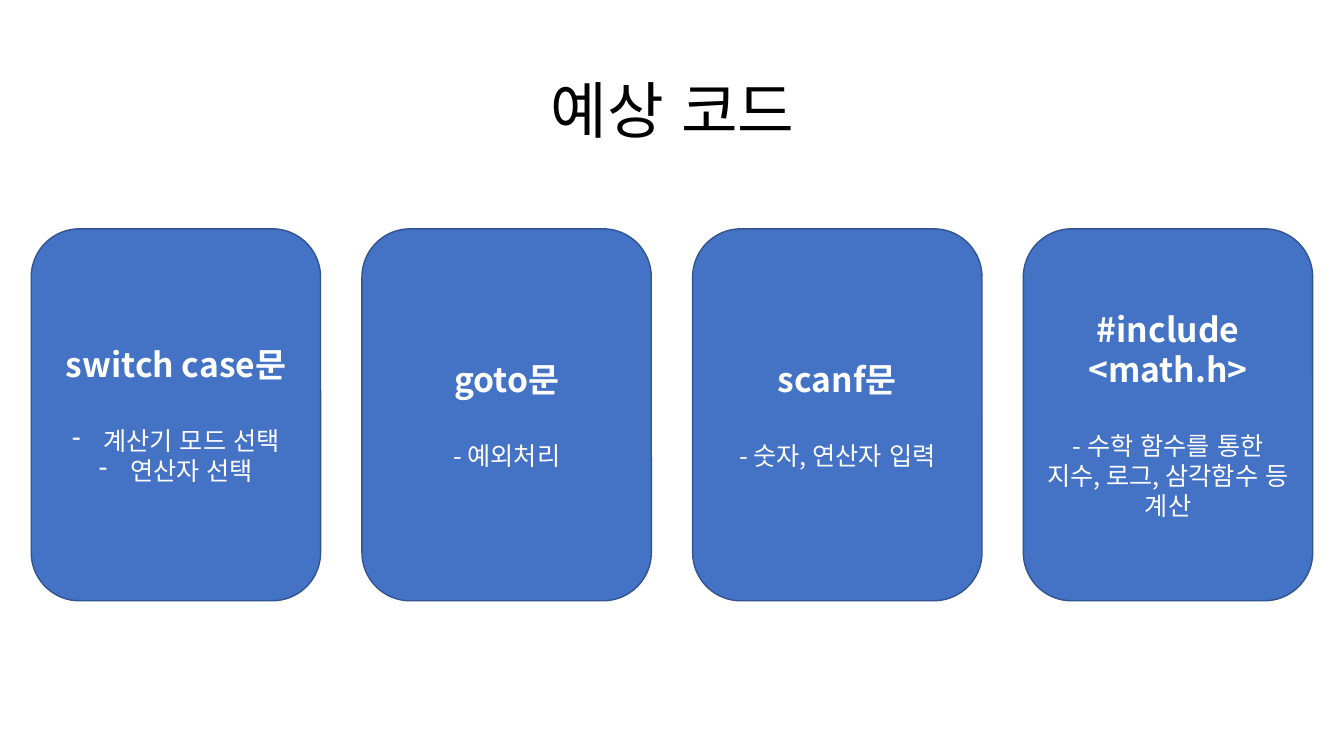
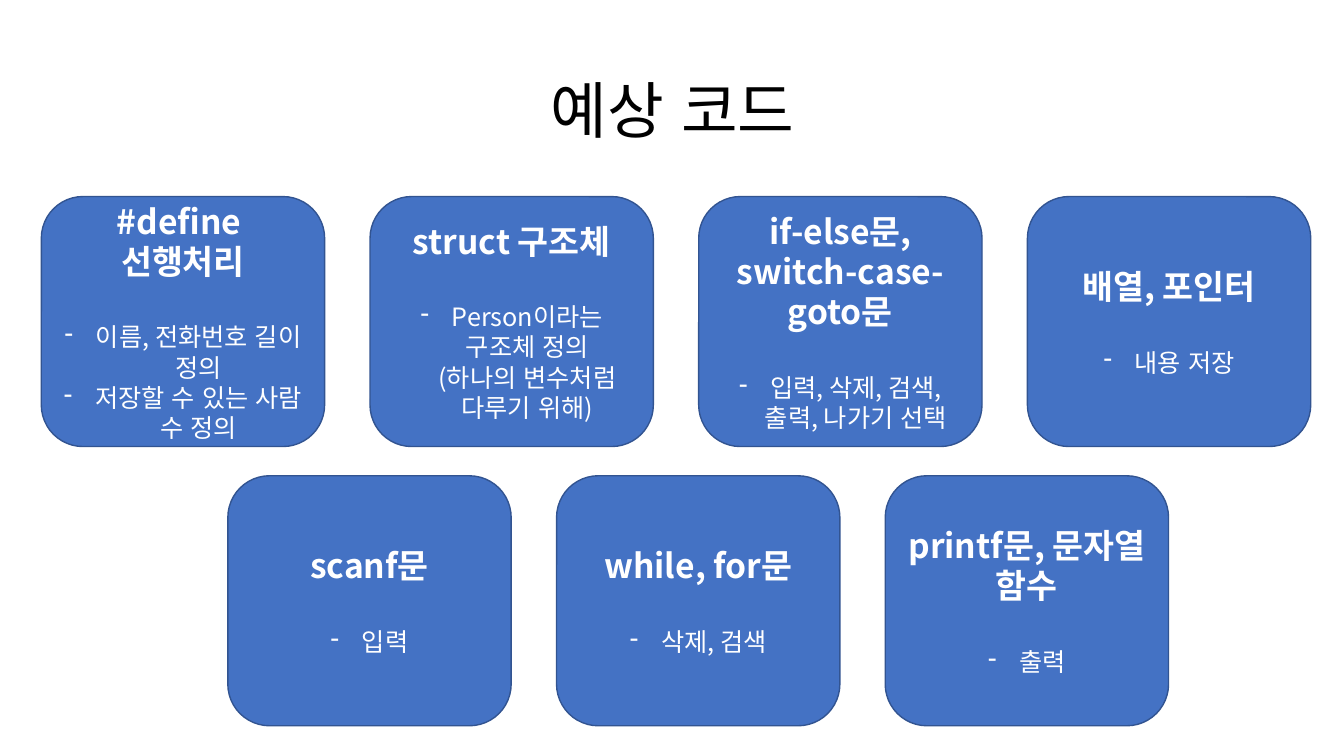
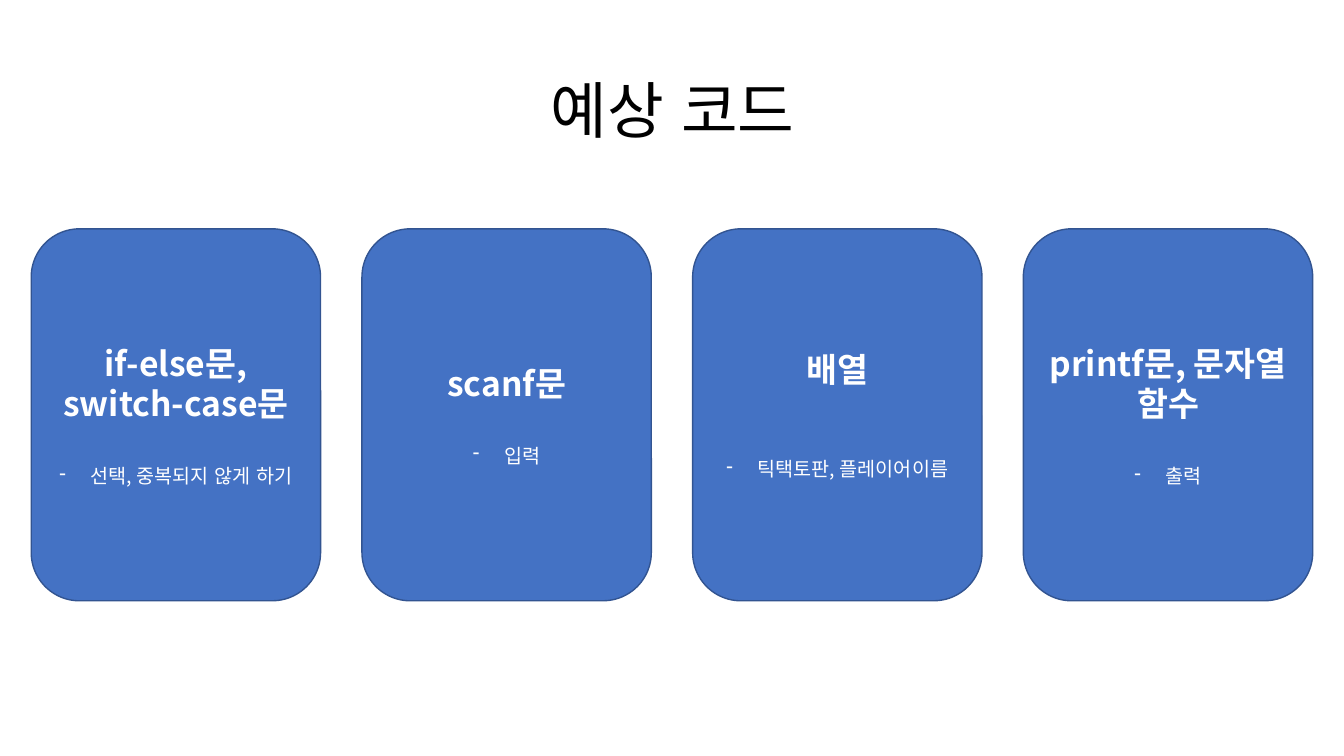
"""Builds three slides of rounded cards listing the expected code of each program."""
from dataclasses import dataclass

from lxml import etree
from pptx import Presentation
from pptx.dml.color import RGBColor
from pptx.enum.lang import MSO_LANGUAGE_ID
from pptx.enum.shapes import MSO_SHAPE
from pptx.enum.text import MSO_ANCHOR, MSO_AUTO_SIZE, PP_ALIGN
from pptx.oxml.ns import qn
from pptx.util import Inches, Pt

ROUNDED = MSO_SHAPE.ROUNDED_RECTANGLE
MIDDLE = MSO_ANCHOR.MIDDLE
NO_AUTOFIT = MSO_AUTO_SIZE.NONE
CENTER = PP_ALIGN.CENTER
KOREAN = MSO_LANGUAGE_ID.KOREAN

FONT = "Noto Sans CJK KR"
BLACK = "000000"
WHITE = "FFFFFF"
CARD_FILL = "4472C4"
CARD_LINE = "325491"
TITLE = "예상 코드"
TITLE_ONLY = 5
HEADING_SIZE = 24
HANGING = Inches(0.31)


@dataclass(frozen=True)
class Card:
    """Heading lines, notes below them, and how the notes are set."""
    headings: list[str]
    notes: list[str]
    bulleted: bool = True
    gap: float = 29


@dataclass(frozen=True)
class Row:
    """Cards of equal size, placed at an equal pitch in inches."""
    left: float
    top: float
    width: float
    height: float
    pitch: float
    cards: list[Card]


@dataclass(frozen=True)
class Page:
    """One slide: the size of its notes and its rows of cards."""
    note_size: float
    rows: list[Row]


def large_row(cards: list[Card]) -> Row:
    """Return a single row of tall cards."""
    return Row(0.31, 2.27, 2.87, 3.69, 3.28, cards)


def small_row(left: float, top: float, cards: list[Card]) -> Row:
    """Return one of several rows of short cards."""
    return Row(left, top, 2.81, 2.48, 3.26, cards)


PAGES = [
    Page(18, [large_row([
        Card(["switch case문"], ["계산기 모드 선택", "연산자 선택"]),
        Card(["goto문"], ["- 예외처리"], bulleted=False),
        Card(["scanf문"], ["- 숫자, 연산자 입력"], bulleted=False),
        Card(["#include <math.h>"], ["- 수학 함수를 통한 지수, 로그, 삼각함수 등 계산"], bulleted=False),
    ])]),
    Page(18, [
        small_row(0.41, 1.95, [
            Card(["#define ", "선행처리"], ["이름, 전화번호 길이 정의", "저장할 수 있는 사람 수 정의"]),
            Card(["struct 구조체"], ["Person이라는 구조체 정의 (하나의 변수처럼 다루기 위해)"]),
            Card(["if-else문, switch-case-goto문"], ["입력, 삭제, 검색, 출력, 나가기 선택"]),
            Card(["배열, 포인터"], ["내용 저장"]),
        ]),
        small_row(2.26, 4.72, [
            Card(["scanf문"], ["입력"]),
            Card(["while, for문"], ["삭제, 검색"]),
            Card(["printf문, 문자열 함수"], ["출력"]),
        ]),
    ]),
    Page(14, [large_row([
        Card(["if-else문, switch-case문"], ["선택, 중복되지 않게 하기"]),
        Card(["scanf문"], ["입력"]),
        Card(["배열"], ["틱택토판, 플레이어이름"], gap=48),
        Card(["printf문, 문자열 함수"], ["출력"]),
    ])]),
]


def color(value: str) -> RGBColor:
    """Return the colour of a hex string."""
    return RGBColor.from_string(value)


def format_paragraph(paragraph, size: float, hex_color: str, bold: bool = False) -> None:
    """Centre a paragraph and set the font of its runs."""
    paragraph.alignment = CENTER
    for run in paragraph.runs:
        font = run.font
        font.size = Pt(size)
        font.bold = bold
        font.name = FONT
        font.language_id = KOREAN
        font.color.rgb = color(hex_color)
        latin = font._element.find(qn("a:latin"))
        east_asian = etree.Element(qn("a:ea"), typeface=FONT)
        latin.addnext(east_asian)


def add_bullet(paragraph) -> None:
    """Give a paragraph a hanging dash."""
    properties = paragraph._p.get_or_add_pPr()
    properties.set("marL", str(HANGING))
    properties.set("indent", str(-HANGING))
    etree.SubElement(properties, qn("a:buFontTx"))
    etree.SubElement(properties, qn("a:buChar"), char="-")


def add_title(slide) -> None:
    """Place and format the shared title."""
    title = slide.shapes.title
    title.left, title.top = Inches(0.92), Inches(0.4)
    title.width, title.height = Inches(11.5), Inches(1.45)
    frame = title.text_frame
    frame.text = TITLE
    frame.auto_size = NO_AUTOFIT
    frame.vertical_anchor = MIDDLE
    paragraph = frame.paragraphs[0]
    paragraph.line_spacing = 0.9
    format_paragraph(paragraph, 44, BLACK)


def add_card(slide, card: Card, row: Row, column: int, note_size: float) -> None:
    """Draw one card at its column in the row."""
    shape = slide.shapes.add_shape(
        ROUNDED, Inches(row.left + column * row.pitch), Inches(row.top),
        Inches(row.width), Inches(row.height))
    shape.shadow.inherit = False
    shape.fill.solid()
    shape.fill.fore_color.rgb = color(CARD_FILL)
    shape.line.color.rgb = color(CARD_LINE)
    shape.line.width = Pt(1)
    frame = shape.text_frame
    frame.word_wrap = True
    frame.vertical_anchor = MIDDLE
    frame.text = "\n".join(card.headings + card.notes)
    heading_count = len(card.headings)
    for paragraph in frame.paragraphs[:heading_count]:
        format_paragraph(paragraph, HEADING_SIZE, WHITE, bold=True)
    notes = frame.paragraphs[heading_count:]
    notes[0].space_before = Pt(card.gap)
    for paragraph in notes:
        format_paragraph(paragraph, note_size, WHITE)
        if card.bulleted:
            add_bullet(paragraph)


def main() -> None:
    """Build and save the presentation."""
    presentation = Presentation()
    presentation.slide_width = Inches(13.33)
    presentation.slide_height = Inches(7.5)
    for page in PAGES:
        slide = presentation.slides.add_slide(presentation.slide_layouts[TITLE_ONLY])
        add_title(slide)
        for row in page.rows:
            for column, card in enumerate(row.cards):
                add_card(slide, card, row, column, page.note_size)
    presentation.save("out.pptx")


if __name__ == "__main__":
    main()
